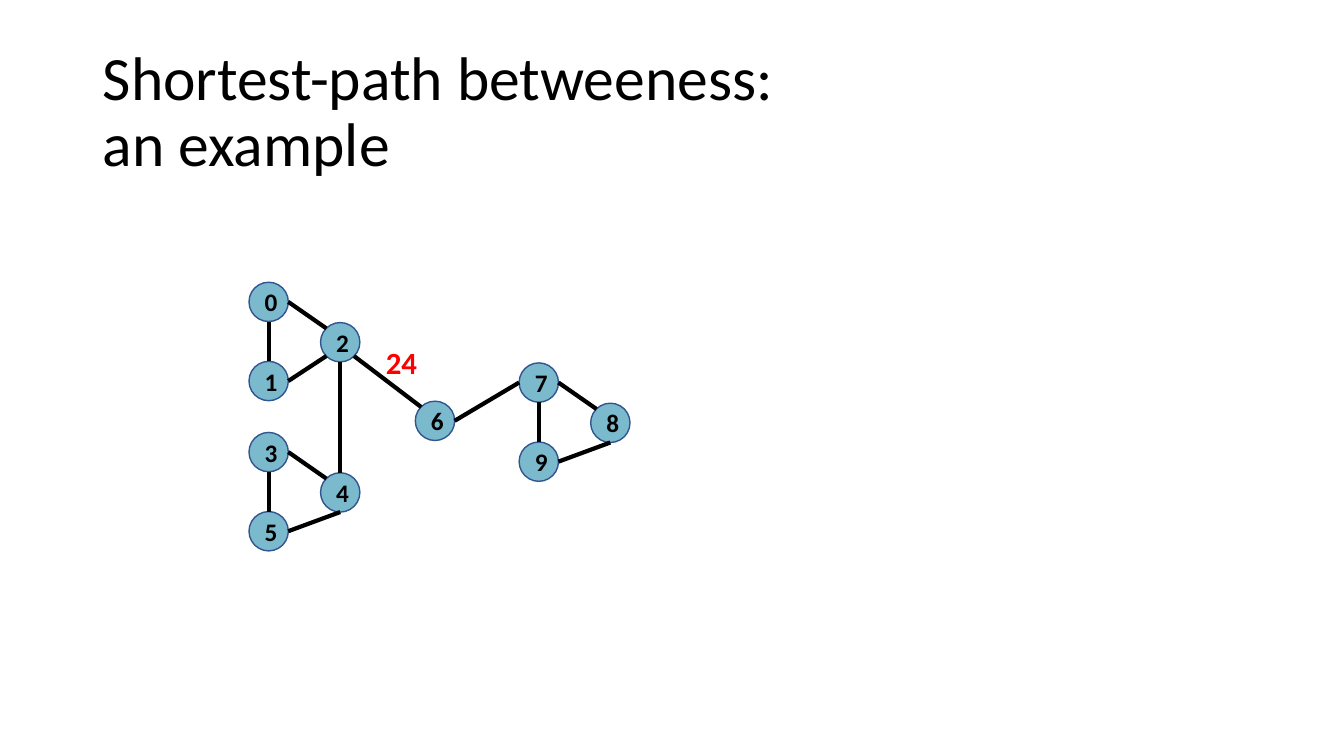
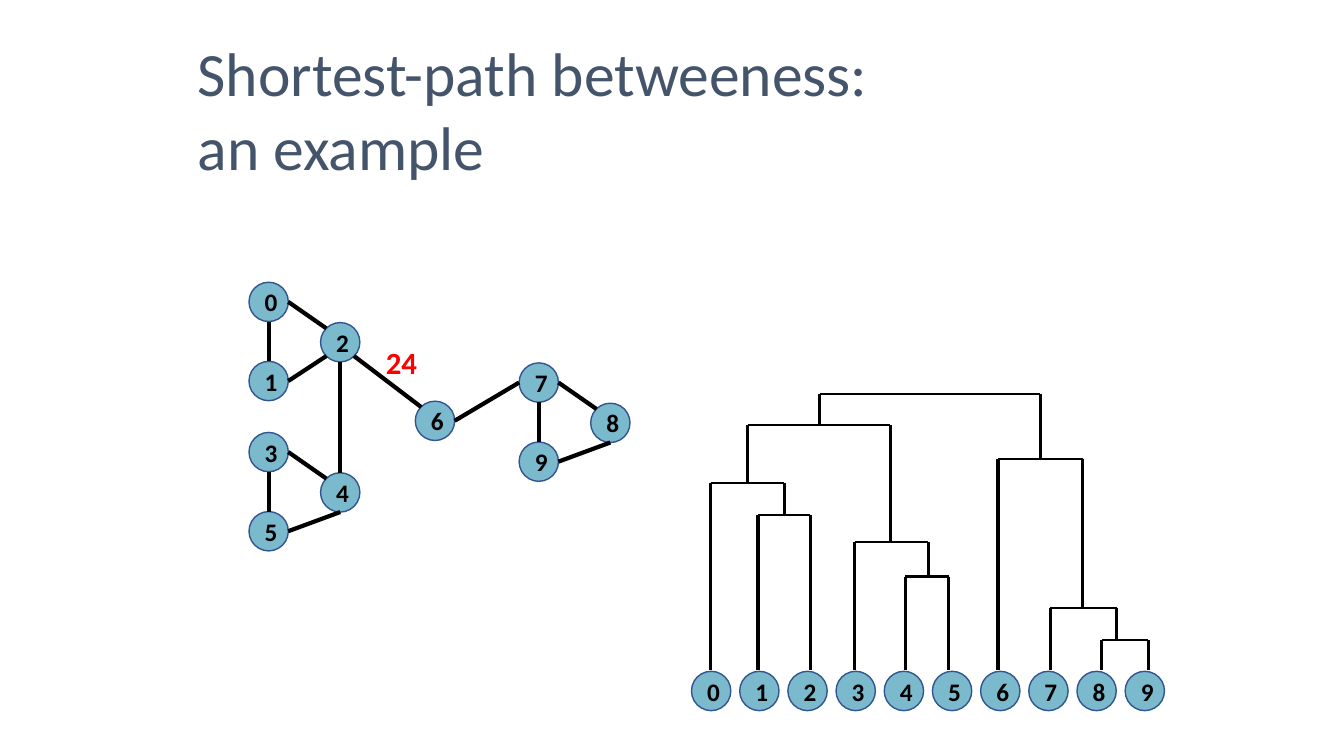
from dataclasses import dataclass
from typing import Any, Optional

from lxml import etree
from pptx import Presentation, util as u
from pptx.dml.color import RGBColor
from pptx.enum import shapes as es, text as et
from pptx.oxml.ns import qn

HUES = {"node": "7BB9CD", "rim": "325491", "ink": "000000", "cost": "FF0000", "slate": "44546A"}
CELL = 0.1
WIDE, HIGH = 133.33, 75
SIZE = 3.9
FACE = "Calibri"
DIGIT = {"name": FACE, "size": u.Pt(18), "bold": True}
COST = {"name": FACE, "size": u.Pt(22), "bold": True}
HEAD = {"name": FACE, "size": u.Pt(44), "bold": False}
EDGE, STEM, BAR = 3, 2.25, 1.5
FLOOR = 66.5
LEAF, PITCH = (68.6, 66.6), 4.78

SITES = {
    "top": (0.5, 0), "left": (0, 0.5), "base": (0.5, 1), "right": (1, 0.5),
    "nw": (0.15, 0.15), "sw": (0.15, 0.85), "se": (0.85, 0.85),
}


@dataclass(frozen=True)
class Triad:
    col: float
    row: float
    names: tuple[int, int, int]

    def spots(self) -> dict[int, tuple[float, float]]:
        steps = ((0, 0), (0, 7.85), (7.1, 4))
        return {n: (self.col + x, self.row + y) for n, (x, y) in zip(self.names, steps)}


@dataclass(frozen=True)
class Link:
    start: int
    leave: str
    end: int
    reach: str


@dataclass(frozen=True)
class Fork:
    left: float
    right: float
    top: float
    west: Optional["Fork"] = None
    east: Optional["Fork"] = None


@dataclass(frozen=True)
class Title:
    words: str
    box: tuple[float, float, float, float]
    hue: str
    anchor: Any
    pitch: float


TRIADS = (
    Triad(24.7, 28, (0, 1, 2)),
    Triad(24.7, 42.9, (3, 5, 4)),
    Triad(51.5, 36, (7, 9, 8)),
)
SPOTS = {6: (41.2, 39.8)}
for triad in TRIADS:
    SPOTS.update(triad.spots())

LINKS = [Link(2, "base", 4, "top"), Link(6, "right", 7, "left"), Link(2, "se", 6, "nw"),
         Link(1, "right", 2, "sw"), Link(4, "base", 5, "right"), Link(8, "base", 9, "right")]
for triad in TRIADS:
    high, low, side = triad.names
    LINKS += [Link(high, "base", low, "top"), Link(high, "right", side, "nw")]

TREE = Fork(
    81.3, 103.2, 39.1,
    Fork(74.2, 88.3, 42.2,
         Fork(70.5, 77.8, 47.9, east=Fork(75.2, 80.4, 51.1)),
         Fork(84.8, 92.1, 53.8, east=Fork(89.8, 94.1, 57.2))),
    Fork(99, 107.4, 45.5,
         east=Fork(104.2, 110.8, 60.3, east=Fork(109.3, 113.9, 63.5))),
)

TITLES = (
    Title("Shortest-path betweeness: \van example", (9.2, 4, 115, 14.5), "ink",
          et.MSO_ANCHOR.MIDDLE, 0.9),
    Title("Shortest-path betweeness:\nan example", (18.6, 3, 96.1, 18), "slate",
          et.MSO_ANCHOR.TOP, 1.0),
)


def span(*cells: float) -> list[int]:
    return [u.Inches(c * CELL) for c in cells]


def tint(hue: str) -> RGBColor:
    return RGBColor.from_string(HUES[hue])


def style(font: Any, form: dict[str, Any], hue: str) -> None:
    for key, val in form.items():
        setattr(font, key, val)
    font.color.rgb = tint(hue)


def stroke(pool: Any, start: tuple[float, float], end: tuple[float, float], width: float) -> None:
    line = pool.add_connector(es.MSO_CONNECTOR.STRAIGHT, *span(*start, *end))
    line.line.color.rgb = tint("ink")
    line.line.width = u.Pt(width)
    etree.SubElement(line._element.spPr, qn("a:effectLst"))


def node(pool: Any, name: int, col: float, row: float) -> None:
    disc = pool.add_shape(es.MSO_SHAPE.OVAL, *span(col, row, SIZE, SIZE))
    disc.shadow.inherit = False
    disc.fill.solid()
    disc.fill.fore_color.rgb = tint("node")
    disc.line.color.rgb = tint("rim")
    disc.line.width = u.Pt(1)
    disc.text_frame.text = str(name)
    disc.text_frame.vertical_anchor = et.MSO_ANCHOR.MIDDLE
    para = disc.text_frame.paragraphs[0]
    para.alignment = et.PP_ALIGN.CENTER
    style(para.runs[0].font, DIGIT, "ink")


def site(name: int, side: str) -> tuple[float, float]:
    (col, row), (x, y) = SPOTS[name], SITES[side]
    return col + x * SIZE, row + y * SIZE


def graph(pool: Any) -> None:
    for name, (col, row) in SPOTS.items():
        node(pool, name, col, row)
    for link in LINKS:
        stroke(pool, site(link.start, link.leave), site(link.end, link.reach), EDGE)
    label = pool.add_textbox(*span(37.3, 33.6, 5.9, 4.7)).text_frame
    label.word_wrap = True
    label.text = "24"
    style(label.paragraphs[0].runs[0].font, COST, "cost")


def branch(pool: Any, fork: Fork) -> None:
    for col, kid in ((fork.left, fork.west), (fork.right, fork.east)):
        stroke(pool, (col, fork.top), (col, kid.top if kid else FLOOR), STEM)
        if kid:
            branch(pool, kid)
    stroke(pool, (fork.left, fork.top), (fork.right, fork.top), BAR)


def tree(pool: Any) -> None:
    group = pool.add_group_shape().shapes
    branch(group, TREE)
    col, row = LEAF
    for name in sorted(SPOTS):
        node(group, name, col + name * PITCH, row)


def title(shape: Any, head: Title) -> None:
    shape.left, shape.top, shape.width, shape.height = span(*head.box)
    frame = shape.text_frame
    frame.text = head.words
    frame.word_wrap = True
    frame.auto_size = et.MSO_AUTO_SIZE.NONE
    frame.vertical_anchor = head.anchor
    for para in frame.paragraphs:
        para.alignment = et.PP_ALIGN.LEFT
        para.line_spacing = head.pitch
        para.space_before = u.Pt(0)
        for run in para.runs:
            style(run.font, HEAD, head.hue)


def main() -> None:
    deck = Presentation()
    deck.slide_width, deck.slide_height = span(WIDE, HIGH)
    for head, parts in zip(TITLES, ((graph,), (graph, tree))):
        slide = deck.slides.add_slide(deck.slide_layouts[5])
        title(slide.shapes.title, head)
        for part in parts:
            part(slide.shapes)
    deck.save("out.pptx")


if __name__ == "__main__":
    main()
